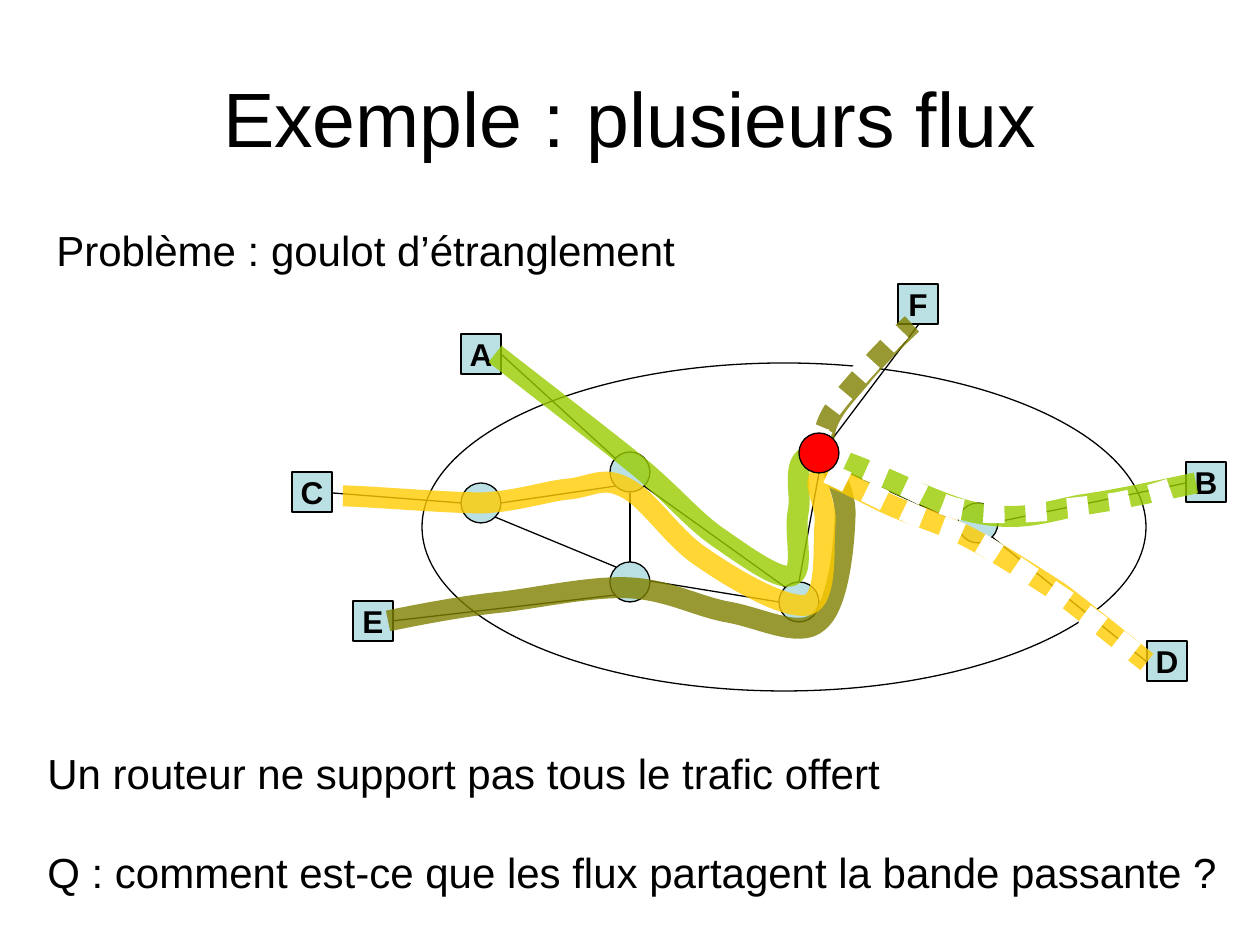
from dataclasses import dataclass

from lxml import etree
from pptx import Presentation
from pptx import util as u
from pptx.dml.color import RGBColor
from pptx.enum import dml, shapes, text
from pptx.oxml.ns import qn

SCALE = 914400 / 126  # EMU in one px
NODE = 40


@dataclass(frozen=True)
class Theme:
    font: str = "Arial"
    ink: str = "000000"
    node: str = "BBE0E3"
    bottleneck: str = "FF0000"
    gap: str = "FFFFFF"
    green: str = "99CC00"
    olive: str = "808000"
    yellow: str = "FFCC00"
    title: int = 44
    body: int = 24
    label: int = 18
    thin: float = 0.75
    flow: int = 12
    flow_alpha: int = 80


T = Theme()

CLOUD = (130, 79, 724, 328)
ROUTERS = [(169, 199), (318, 168), (318, 278), (487, 298), (666, 219)]
BOTTLENECK = (507, 149)
HOSTS = {"A": (169, 50), "B": (894, 178), "C": (0, 188),
         "D": (855, 357), "E": (61, 317), "F": (606, 0)}
LINKS = [
    (338, 209, 338, 278), (358, 297, 487, 318), (352, 202, 493, 303),
    (527, 189, 507, 298), (541, 182, 666, 238), (705, 238, 894, 199),
    (209, 70, 324, 175), (100, 337, 324, 311), (627, 40, 541, 154),
    (41, 209, 169, 219), (209, 219, 324, 202), (203, 233, 324, 283),
    (700, 253, 855, 378),
]
# Each curve: a start point, then three points for each Bézier segment.
FLOWS = [
    (T.green, [
        (203, 70), (227, 89), (309, 152), (346, 182),
        (382, 212), (398, 233), (424, 252), (449, 269), (485, 296), (499, 292),
        (513, 288), (502, 249), (506, 229), (511, 209), (496, 171), (524, 171),
        (555, 171), (640, 221), (685, 229), (729, 238), (753, 228), (789, 221),
        (826, 216), (880, 204), (904, 199)]),
    (T.olive, [
        (96, 337), (115, 333), (170, 322), (211, 318),
        (251, 313), (301, 302), (338, 304), (376, 306), (404, 322), (435, 328),
        (467, 333), (507, 355), (526, 338), (546, 323), (552, 264), (553, 233),
        (555, 201), (530, 176), (532, 152), (535, 129), (553, 112), (569, 93),
        (584, 74), (609, 50), (620, 40)]),
    (T.yellow, [
        (51, 212), (73, 212), (153, 219), (191, 219),
        (228, 217), (254, 207), (278, 205), (301, 202), (312, 192), (334, 204),
        (357, 215), (381, 255), (411, 274), (441, 295), (494, 326), (516, 321),
        (536, 315), (531, 263), (533, 241), (536, 221), (518, 196), (530, 192),
        (542, 190), (580, 214), (605, 224), (629, 234), (649, 239), (676, 253),
        (703, 267), (737, 289), (768, 309), (797, 331), (836, 363), (855, 378)]),
]
LOSSES = [
    [(536, 158), (523, 153), (523, 145), (536, 129),
     (550, 109), (582, 74), (615, 40)],
    [(536, 168), (558, 178), (581, 189), (606, 199),
     (630, 209), (649, 225), (686, 228), (722, 231), (789, 224), (824, 219),
     (860, 212), (876, 206), (894, 199)],
    [(536, 189), (563, 202), (591, 216), (616, 228),
     (640, 240), (659, 243), (686, 258), (712, 273), (746, 298), (775, 317),
     (803, 337), (828, 357), (855, 378)],
]


def px(n):
    return u.Emu(round(n * SCALE))


def rgb(color):
    return RGBColor.from_string(color)


def write(tf, *lines, size, bold=False, align=text.PP_ALIGN.LEFT,
          anchor=text.MSO_ANCHOR.TOP, wrap=True, inset=True, gap=0):
    tf.word_wrap = wrap
    tf.vertical_anchor = anchor
    if not inset:
        tf.margin_left = tf.margin_right = tf.margin_top = tf.margin_bottom = 0
    for i, line in enumerate(lines):
        p = tf.add_paragraph() if i else tf.paragraphs[0]
        p.alignment = align
        p.space_before = u.Pt(gap if i else 0)
        r = p.add_run()
        r.text = line
        r.font.name, r.font.size, r.font.bold = T.font, u.Pt(size), bold
        r.font.color.rgb = rgb(T.ink)


def outline(line, color=T.ink, width=T.thin):
    line.color.rgb = rgb(color)
    line.width = u.Pt(width)


def add_node(s, kind, x, y, w=NODE, h=NODE, fill=T.node):
    sp = s.shapes.add_shape(kind, px(x), px(y), px(w), px(h))
    sp.shadow.inherit = False
    outline(sp.line)
    if fill:
        sp.fill.solid()
        sp.fill.fore_color.rgb = rgb(fill)
    else:
        sp.fill.background()
    return sp


def add_link(s, x1, y1, x2, y2):
    cn = s.shapes.add_connector(shapes.MSO_CONNECTOR.STRAIGHT,
                                px(x1), px(y1), px(x2), px(y2))
    outline(cn.line)
    etree.SubElement(cn._element.spPr, qn("a:effectLst"))


def add_curve(s, x, y, points, color, alpha=None, dash=None):
    """Draw a freeform and turn each three of its segments into one Bézier."""
    fb = s.shapes.build_freeform(*points[0], scale=SCALE)
    fb.add_line_segments(points[1:], close=False)
    sp = fb.convert_to_shape(px(x), px(y))
    sp.shadow.inherit = False
    sp.fill.background()
    outline(sp.line, color, T.flow)
    if dash:
        sp.line.dash_style = dash
    if alpha:
        clr = sp._element.spPr.find(".//" + qn("a:ln")).find(".//" + qn("a:srgbClr"))
        etree.SubElement(clr, qn("a:alpha"), val=str(alpha * 1000))
    path = sp._element.spPr.find(".//" + qn("a:path"))
    segments = path.findall(qn("a:lnTo"))
    for i in range(0, len(segments), 3):
        bezier = etree.SubElement(path, qn("a:cubicBezTo"))
        for segment in segments[i:i + 3]:
            bezier.append(segment[0])
            path.remove(segment)


def add_network(s, x, y):
    oval, rect = shapes.MSO_SHAPE.OVAL, shapes.MSO_SHAPE.RECTANGLE
    for dx, dy in ROUTERS:
        add_node(s, oval, x + dx, y + dy)
    cx, cy, cw, ch = CLOUD
    add_node(s, oval, x + cx, y + cy, cw, ch, fill=None)
    for x1, y1, x2, y2 in LINKS:
        add_link(s, x + x1, y + y1, x + x2, y + y2)
    for name, (dx, dy) in HOSTS.items():
        sp = add_node(s, rect, x + dx, y + dy)
        write(sp.text_frame, name, size=T.label, bold=True, wrap=False,
              align=text.PP_ALIGN.CENTER, anchor=text.MSO_ANCHOR.MIDDLE)
    for color, points in FLOWS:
        add_curve(s, x, y, points, color, alpha=T.flow_alpha)
    for points in LOSSES:
        add_curve(s, x, y, points, T.gap, dash=dml.MSO_LINE.ROUND_DOT)
    dx, dy = BOTTLENECK
    add_node(s, oval, x + dx, y + dy, fill=T.bottleneck)


def add_title(s, title, x, y, w, h):
    sp = s.shapes.title
    sp.left, sp.top, sp.width, sp.height = map(px, (x, y, w, h))
    write(sp.text_frame, title, size=T.title, align=text.PP_ALIGN.CENTER,
          anchor=text.MSO_ANCHOR.MIDDLE)


def add_text(s, x, y, w, h, *lines, **style):
    sp = s.shapes.add_textbox(*map(px, (x, y, w, h)))
    write(sp.text_frame, *lines, size=T.body, **style)


def main():
    prs = Presentation()
    prs.slide_width, prs.slide_height = px(1260), px(945)
    s = prs.slides.add_slide(prs.slide_layouts[5])
    add_title(s, "Exemple : plusieurs flux", 63, 38, 1134, 157)
    add_text(s, 25, 224, 650, 55, "Problème : goulot d’étranglement",
             align=text.PP_ALIGN.RIGHT, inset=False)
    add_network(s, 292, 284)
    add_text(s, 35, 741, 1195, 164,
             "Un routeur ne support pas tous le trafic offert",
             "Q : comment est-ce que les flux partagent la bande passante ?",
             wrap=False, gap=28)
    prs.save("out.pptx")


if __name__ == "__main__":
    main()
